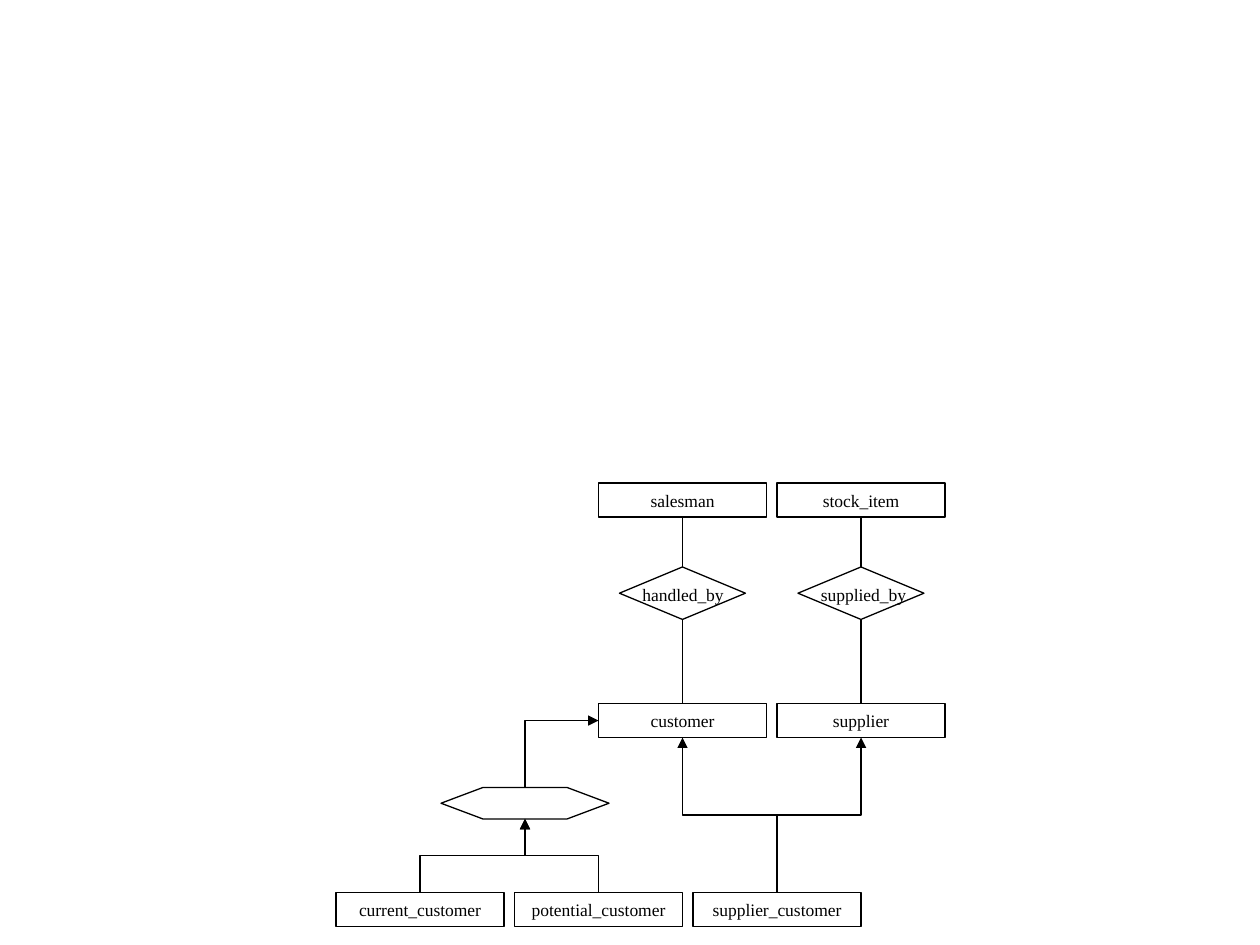
from lxml.etree import SubElement
from pptx import Presentation
from pptx.dml.color import RGBColor
from pptx.enum.shapes import MSO_CONNECTOR as CONN, MSO_SHAPE as SHAPE
from pptx.enum.text import MSO_ANCHOR as ANCHOR, PP_ALIGN as ALIGN
from pptx.oxml.ns import qn
from pptx.util import Pt

THEME = {"ink": RGBColor(0, 0, 0), "font": "Times New Roman", "size": 10, "line": 0.75}

# Entity rows: left, top, names
ENTITY_ROWS = [
    (342, 276, ["salesman", "stock_item"]),
    (342, 402, ["customer", "supplier"]),
    (192, 510, ["current_customer", "potential_customer", "supplier_customer"]),
]
# Relationship, entity above, entity below
RELATIONSHIPS = [
    ("handled_by", "salesman", "customer"),
    ("supplied_by", "stock_item", "supplier"),
]
SUBTYPES = ["current_customer", "potential_customer"]
PARENTS = ["customer", "supplier"]

ENTITY_W, ENTITY_H, ENTITY_GAP = 96, 19.5, 6
DIAMOND_W, DIAMOND_H, DIAMOND_TOP = 72, 30, 324
LABEL_SHIFT = 6
HEX_LEFT, HEX_TOP, HEX_W, HEX_H = 252, 450, 96, 18

prs = Presentation()
prs.slide_width, prs.slide_height = Pt(720), Pt(540)
slide = prs.slides.add_slide(prs.slide_layouts[6])
shapes = slide.shapes


def write(sp, text, align=ALIGN.CENTER, anchor=ANCHOR.MIDDLE):
    tf = sp.text_frame
    tf.word_wrap = True
    tf.vertical_anchor = anchor
    p = tf.paragraphs[0]
    p.alignment = align
    r = p.add_run()
    r.text = text
    r.font.name, r.font.size = THEME["font"], Pt(THEME["size"])
    r.font.color.rgb = THEME["ink"]


def ink_line(item):
    item.line.color.rgb = THEME["ink"]
    item.line.width = Pt(THEME["line"])


def outline(kind, left, top, width, height):
    sp = shapes.add_shape(kind, Pt(left), Pt(top), Pt(width), Pt(height))
    sp.shadow.inherit = False
    sp.fill.background()
    ink_line(sp)
    return sp


def connect(start, end, kind=CONN.STRAIGHT, arrow=False):
    cx = shapes.add_connector(kind, *(Pt(v) for v in (*start, *end)))
    ink_line(cx)
    if arrow:
        SubElement(cx.line._get_or_add_ln(), qn("a:tailEnd"), type="triangle")
    SubElement(cx._element.spPr, qn("a:effectLst"))
    return cx


def elbow_up(start, end, preset="bentConnector3"):
    """Arrow that leaves start upwards; the preset sets how many bends follow."""
    cx = connect(start, end, CONN.ELBOW, arrow=True)
    (x1, y1), (x2, y2) = start, end
    width, height = abs(y2 - y1), abs(x2 - x1)
    cx.left, cx.top = Pt((x1 + x2 - width) / 2), Pt((y1 + y2 - height) / 2)
    cx.width, cx.height = Pt(width), Pt(height)
    spPr = cx._element.spPr
    spPr.find(qn("a:prstGeom")).set("prst", preset)
    xfrm = spPr.find(qn("a:xfrm"))
    goes_right = x2 > x1
    xfrm.set("rot", str((90 if goes_right else 270) * 60000))
    xfrm.set("flipH", "1" if goes_right else "0")
    xfrm.set("flipV", "1")


entities = {}
for row_left, top, names in ENTITY_ROWS:
    for col, name in enumerate(names):
        left = row_left + col * (ENTITY_W + ENTITY_GAP)
        write(outline(SHAPE.RECTANGLE, left, top, ENTITY_W, ENTITY_H), name)
        entities[name] = (left, top)


def top_of(name):
    left, top = entities[name]
    return left + ENTITY_W / 2, top


def bottom_of(name):
    x, top = top_of(name)
    return x, top + ENTITY_H


for label, above, below in RELATIONSHIPS:
    x, _ = top_of(above)
    left = x - DIAMOND_W / 2
    outline(SHAPE.DIAMOND, left, DIAMOND_TOP, DIAMOND_W, DIAMOND_H)
    tb = shapes.add_textbox(Pt(left + LABEL_SHIFT), Pt(DIAMOND_TOP + LABEL_SHIFT),
                            Pt(DIAMOND_W), Pt(ENTITY_H))
    write(tb, label, align=ALIGN.LEFT, anchor=ANCHOR.TOP)
    connect((x, DIAMOND_TOP), bottom_of(above))
    connect(top_of(below), (x, DIAMOND_TOP + DIAMOND_H))

hexagon = outline(SHAPE.HEXAGON, HEX_LEFT, HEX_TOP, HEX_W, HEX_H)
hexagon.adjustments[0] = 1.33
hex_x = HEX_LEFT + HEX_W / 2
for name in SUBTYPES:
    elbow_up(top_of(name), (hex_x, HEX_TOP + HEX_H))

customer_left, customer_top = entities["customer"]
elbow_up((hex_x, HEX_TOP), (customer_left, customer_top + ENTITY_H / 2), "bentConnector2")
for name in PARENTS:
    elbow_up(top_of("supplier_customer"), bottom_of(name))

prs.save("out.pptx")
